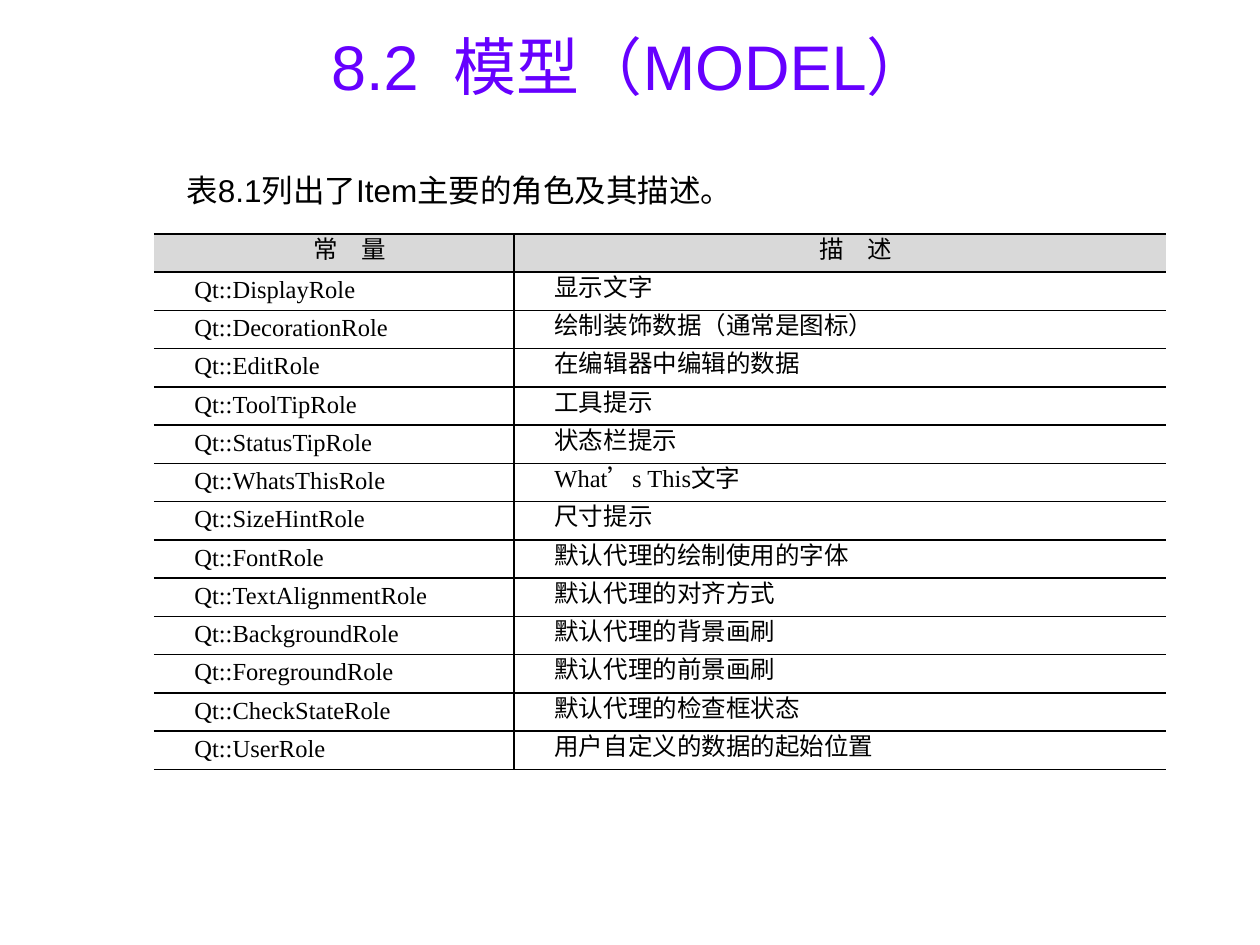
from lxml import etree
from pptx import Presentation, util as u
from pptx.dml.color import RGBColor
from pptx.enum import text
from pptx.oxml.ns import qn

PX = 914400 / 126
VIOLET = RGBColor(0x66, 0x00, 0xFF)
BLACK = RGBColor(0x00, 0x00, 0x00)
WHITE = RGBColor(0xFF, 0xFF, 0xFF)
HEADER_GREY = RGBColor(0xD9, 0xD9, 0xD9)
NO_STYLE_NO_GRID = "{2D5ABB26-0587-4C30-8999-92F81FD0307C}"
COLUMN_WIDTHS = (360, 652)
TABLE_HEIGHT = 536

HEADINGS = (("常", "量"), ("描", "述"))
ROLES = (
    ("Qt::DisplayRole", "显示文字"),
    ("Qt::DecorationRole", "绘制装饰数据（通常是图标）"),
    ("Qt::EditRole", "在编辑器中编辑的数据"),
    ("Qt::ToolTipRole", "工具提示"),
    ("Qt::StatusTipRole", "状态栏提示"),
    ("Qt::WhatsThisRole", "What’s This文字"),
    ("Qt::SizeHintRole", "尺寸提示"),
    ("Qt::FontRole", "默认代理的绘制使用的字体"),
    ("Qt::TextAlignmentRole", "默认代理的对齐方式"),
    ("Qt::BackgroundRole", "默认代理的背景画刷"),
    ("Qt::ForegroundRole", "默认代理的前景画刷"),
    ("Qt::CheckStateRole", "默认代理的检查框状态"),
    ("Qt::UserRole", "用户自定义的数据的起始位置"),
)


def px(length):
    return u.Emu(round(length * PX))


def add_run(paragraph, words, font, size, color):
    run = paragraph.add_run()
    run.text = words
    run.font.name = font
    run.font.size = u.Pt(size)
    run.font.color.rgb = color
    return run


def add_spaced_runs(paragraph, parts, gap, font, size, color):
    """Put the parts on one line, with a space widened by gap points between them."""
    for index, part in enumerate(parts):
        if index:
            space = add_run(paragraph, " ", font, size, color)
            space.font._element.set("spc", str(round(gap * 100)))
        add_run(paragraph, part, font, size, color)


def add_text_box(slide, left, top, width, height, wrap):
    frame = slide.shapes.add_textbox(px(left), px(top), px(width), px(height)).text_frame
    frame.word_wrap = wrap
    frame.vertical_anchor = text.MSO_ANCHOR.MIDDLE
    return frame.paragraphs[0]


def add_borders(cell, sides):
    properties = cell._tc.get_or_add_tcPr()
    for index, side in enumerate(sides):
        line = etree.Element(qn(f"a:ln{side}"), w=str(u.Pt(1)))
        fill = etree.SubElement(line, qn("a:solidFill"))
        etree.SubElement(fill, qn("a:srgbClr"), val=str(BLACK))
        properties.insert(index, line)


def fill_cell(cell, parts, is_header, sides):
    cell.margin_left = cell.margin_right = px(9)
    cell.margin_top = cell.margin_bottom = 0
    cell.vertical_anchor = text.MSO_ANCHOR.MIDDLE
    cell.fill.solid()
    cell.fill.fore_color.rgb = HEADER_GREY if is_header else WHITE
    add_borders(cell, sides)

    paragraph = cell.text_frame.paragraphs[0]
    paragraph.alignment = text.PP_ALIGN.CENTER if is_header else text.PP_ALIGN.JUSTIFY
    paragraph.line_spacing = u.Pt(14)
    indents = paragraph._p.get_or_add_pPr()
    indents.set("marL", "0")
    indents.set("indent", str(u.Inches(0.25)))
    add_spaced_runs(paragraph, parts, 10.5, "Times New Roman", 14, BLACK)


def add_role_table(slide):
    rows = [HEADINGS] + [((constant,), (description,)) for constant, description in ROLES]
    frame = slide.shapes.add_table(len(rows), len(COLUMN_WIDTHS), px(154), px(234),
                                   px(sum(COLUMN_WIDTHS)), px(TABLE_HEIGHT))
    table = frame.table
    table.first_row = table.horz_banding = False
    table._tbl.tblPr.find(qn("a:tableStyleId")).text = NO_STYLE_NO_GRID
    for column, width in zip(table.columns, COLUMN_WIDTHS):
        column.width = px(width)
    for row_index, row in enumerate(rows):
        table.rows[row_index].height = px(TABLE_HEIGHT / len(rows))
        for column_index, (parts, sides) in enumerate(zip(row, ("RTB", "LTB"))):
            fill_cell(table.cell(row_index, column_index), parts, row_index == 0, sides)


def main():
    deck = Presentation()
    deck.slide_width, deck.slide_height = px(1260), px(945)
    slide = deck.slides.add_slide(deck.slide_layouts[6])

    title = add_text_box(slide, 42, 6, 1177, 118, wrap=True)
    title.alignment = text.PP_ALIGN.CENTER
    add_spaced_runs(title, ("8.2", "模型（MODEL）"), 10, "Arial", 36, VIOLET)

    caption = add_text_box(slide, 174, 165, 577, 50, wrap=False)
    add_run(caption, "表8.1列出了Item主要的角色及其描述。", "Arial", 18, BLACK)

    add_role_table(slide)
    deck.save("out.pptx")


if __name__ == "__main__":
    main()
